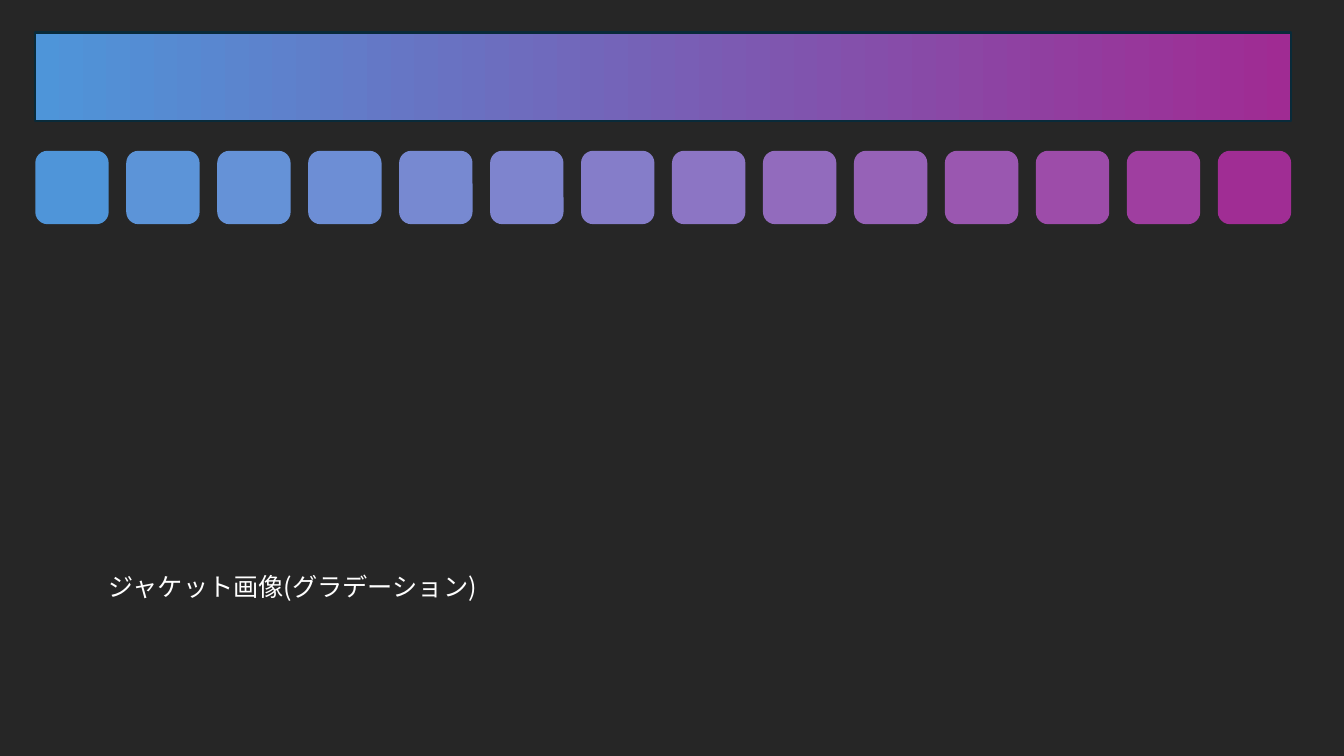
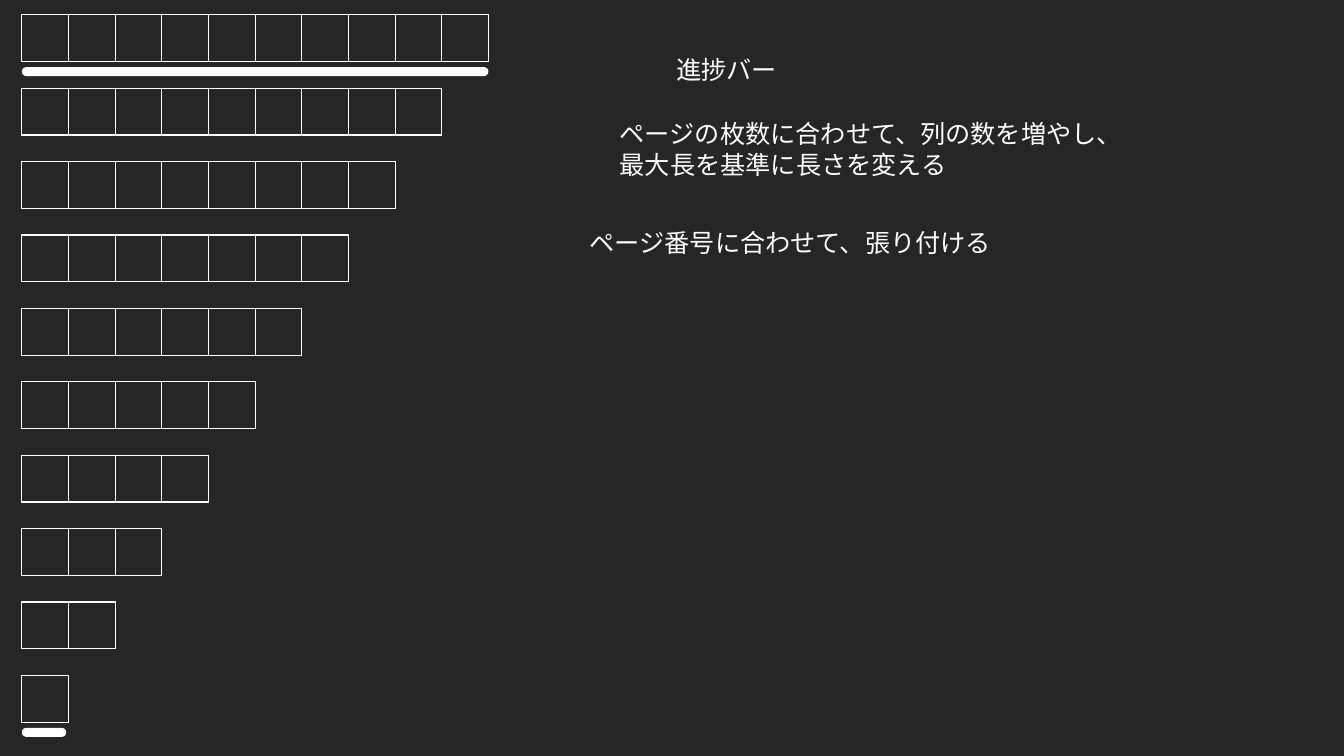
import pptx
import pptx.dml.color
import pptx.enum.shapes
import pptx.enum.text
import pptx.oxml
import pptx.oxml.ns
import pptx.util
from lxml import etree

Cm = pptx.util.Cm
Pt = pptx.util.Pt
PRESET = pptx.enum.shapes.MSO_SHAPE

FONT = "Noto Sans CJK JP"
BACKGROUND = "262626"
WHITE = "FFFFFF"
GRADIENT_ENDS = ("4E95D9", "A02B93")
GRADIENT_OUTLINE = "092A39"
SWATCHES = (
    "4F95D9", "5C94D8", "6592D7", "6D8ED5", "7789D1", "7E84CE", "857DC9",
    "8C75C4", "926BBD", "9662B7", "9A57B0", "9D4CA9", "9F3EA0", "A02D94",
)
MAX_PAGES = 10


def rgb(code):
    return pptx.dml.color.RGBColor.from_string(code)


def new_slide(deck):
    slide = deck.slides.add_slide(deck.slide_layouts[6])
    slide.background.fill.solid()
    slide.background.fill.fore_color.rgb = rgb(BACKGROUND)
    return slide


def add_block(slide, preset, left, top, width, height, color=None):
    """Place a preset shape without shadow or outline, filled if a colour is given."""
    block = slide.shapes.add_shape(preset, left, top, width, height)
    block.shadow.inherit = False
    block.line.fill.background()
    if color:
        block.fill.solid()
        block.fill.fore_color.rgb = rgb(color)
    return block


def add_note(slide, left, top, width, height, text):
    note = slide.shapes.add_textbox(left, top, width, height)
    frame = note.text_frame
    frame.word_wrap = True
    frame.auto_size = pptx.enum.text.MSO_AUTO_SIZE.NONE
    frame.margin_top = Cm(0.2)
    frame.margin_right = 0
    paragraph = frame.paragraphs[0]
    paragraph.line_spacing = Pt(21.6)
    run = paragraph.add_run()
    run.text = text
    run.font.size = Pt(18)
    run.font.name = FONT
    run.font.color.rgb = rgb(WHITE)
    east_asian = etree.SubElement(run.font._element, pptx.oxml.ns.qn("a:ea"))
    east_asian.set("typeface", FONT)


def add_gradient_bar(slide, left, top, width, height):
    bar = add_block(slide, PRESET.RECTANGLE, left, top, width, height)
    bar.fill.gradient()
    bar.fill.gradient_angle = 0
    for stop, color, position in zip(bar.fill.gradient_stops, GRADIENT_ENDS, (0, 1)):
        stop.color.rgb = rgb(color)
        stop.position = position
    bar.line.color.rgb = rgb(GRADIENT_OUTLINE)
    bar.line.width = Pt(1.5)


def add_swatches(slide, left, top, width, side):
    """Spread the swatches evenly so that the last ends at the right edge."""
    step = (width - side) / (len(SWATCHES) - 1)
    for index, color in enumerate(SWATCHES):
        add_block(slide, PRESET.ROUNDED_RECTANGLE,
                  round(left + index * step), top, side, side, color)


def outline_cell(cell):
    properties = cell._tc.get_or_add_tcPr()
    for side in ("lnL", "lnR", "lnT", "lnB"):
        properties.append(pptx.oxml.parse_xml(
            f'<a:{side} {pptx.oxml.ns.nsdecls("a")} w="{Pt(1)}">'
            f'<a:solidFill><a:srgbClr val="{WHITE}"/></a:solidFill></a:{side}>'))
    cell.fill.background()


def add_page_row(slide, left, top, cell_width, height, pages):
    table = slide.shapes.add_table(1, pages, left, top, cell_width * pages, height).table
    table.first_row = False
    table.horz_banding = False
    for column in table.columns:
        column.width = cell_width
    for cell in table.iter_cells():
        cell.margin_top = cell.margin_bottom = 0
        outline_cell(cell)


def add_progress_line(slide, left, row_top, width):
    line = add_block(slide, PRESET.ROUNDED_RECTANGLE, left, row_top + Cm(1.32),
                     width, Cm(0.23), WHITE)
    line.adjustments[0] = 0.5


def add_page_staircase(slide, left, top, width, pitch):
    """Stack rows of one page fewer each, with lines under the first and last."""
    add_progress_line(slide, left, top, width)
    add_progress_line(slide, left, top + pitch * (MAX_PAGES - 1), Cm(1.12))
    for index in range(MAX_PAGES):
        add_page_row(slide, left, top + pitch * index, width // MAX_PAGES,
                     Cm(1.18), MAX_PAGES - index)


def gradient_slide(deck):
    slide = new_slide(deck)
    left, width = Cm(0.89), Cm(31.65)
    add_gradient_bar(slide, left, Cm(0.82), width, Cm(2.22))
    add_swatches(slide, left, Cm(3.8), width, Cm(1.85))
    add_note(slide, Cm(2.49), Cm(14.2), Cm(10.54), Cm(1.03),
             "ジャケット画像(グラデーション)")


def progress_slide(deck):
    slide = new_slide(deck)
    add_page_staircase(slide, Cm(0.55), Cm(0.37), Cm(11.76), Cm(1.85))
    add_note(slide, Cm(16.79), Cm(1.17), Cm(9.4), Cm(1.03), "進捗バー")
    add_note(slide, Cm(15.37), Cm(2.79), Cm(13.2), Cm(1.8),
             "ページの枚数に合わせて、列の数を増やし、最大長を基準に長さを変える")
    add_note(slide, Cm(14.61), Cm(5.54), Cm(13.2), Cm(1.03),
             "ページ番号に合わせて、張り付ける")


def main():
    deck = pptx.Presentation()
    deck.slide_width = Cm(33.87)
    deck.slide_height = Cm(19.05)
    gradient_slide(deck)
    progress_slide(deck)
    deck.save("out.pptx")


if __name__ == "__main__":
    main()
